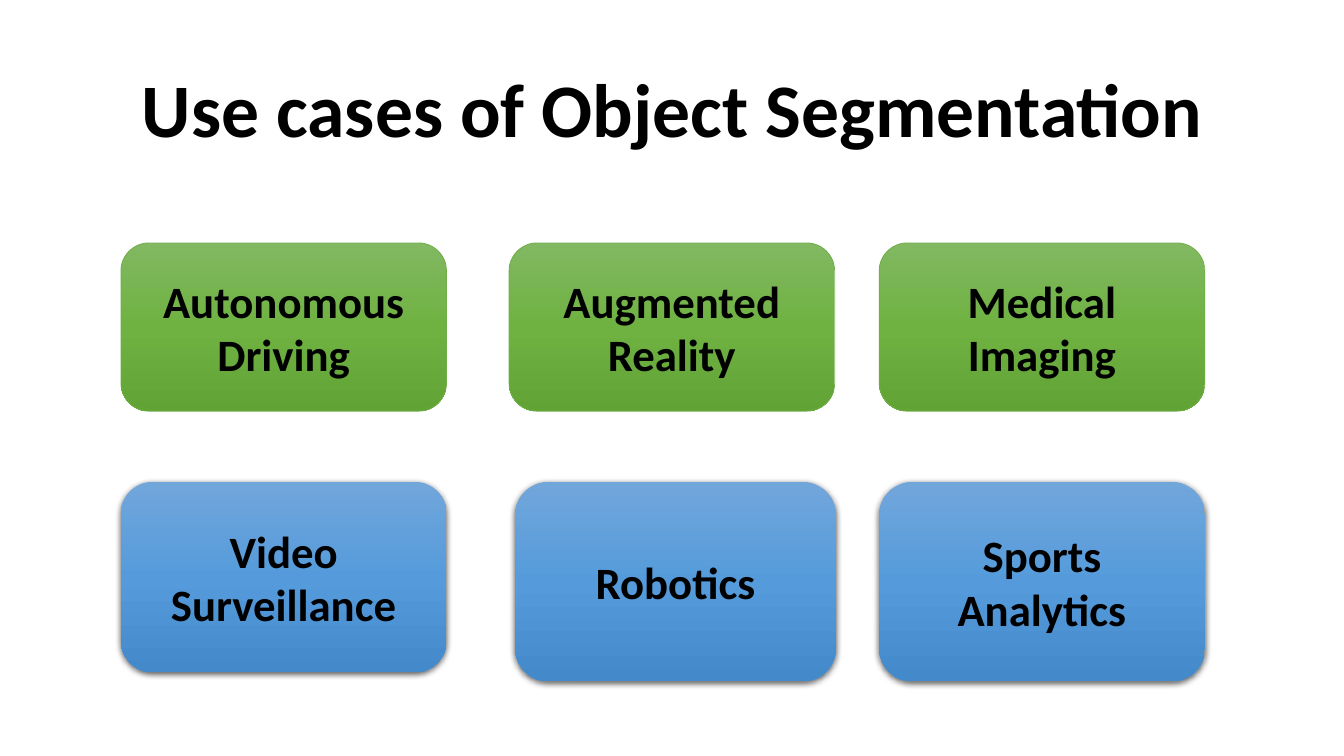
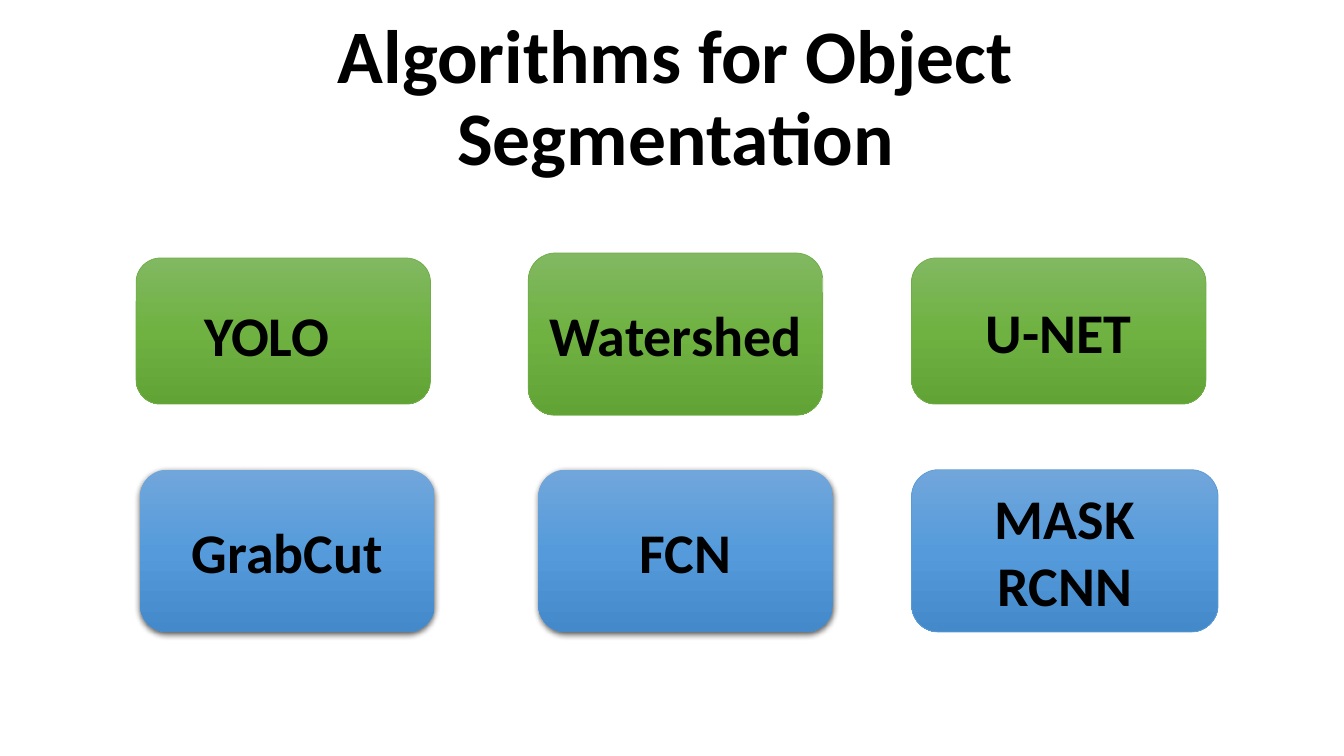
from copy import deepcopy

from lxml import etree
from pptx import Presentation
from pptx import util as u
from pptx.dml.color import RGBColor
from pptx.enum import shapes, text
from pptx.oxml import ns

WIDTH, HEIGHT = u.Inches(13.33), u.Inches(7.5)
FONT = "Calibri"
BLACK = RGBColor(0x00, 0x00, 0x00)
GREEN_LINE = RGBColor(0x70, 0xAD, 0x47)
BLUE_LINE = RGBColor(0x5B, 0x9B, 0xD5)
GREENS = (RGBColor(0x81, 0xB8, 0x61), RGBColor(0x6F, 0xB2, 0x42), RGBColor(0x62, 0xA3, 0x36))
BLUES = (RGBColor(0x71, 0xA6, 0xDB), RGBColor(0x55, 0x9B, 0xDB), RGBColor(0x44, 0x8A, 0xCA))


def share(left, top, width, height):
    return [int(size * part / 100) for size, part in
            zip((WIDTH, HEIGHT, WIDTH, HEIGHT), (left, top, width, height))]


def write(tf, label, size, anchor=text.MSO_ANCHOR.MIDDLE, spacing=None):
    tf.word_wrap = True
    tf.vertical_anchor = anchor
    p = tf.paragraphs[0]
    p.alignment = text.PP_ALIGN.CENTER
    if spacing:
        p.line_spacing = spacing
    r = p.add_run()
    r.text = label
    r.font.name, r.font.size, r.font.bold = FONT, u.Pt(size), True
    r.font.color.rgb = BLACK


def add_gradient(sp, colours):
    sp.fill.gradient()
    sp.fill.gradient_angle = 270
    first = sp.fill.gradient_stops[0]._gs
    first.addnext(deepcopy(first))
    for i, (stop, colour) in enumerate(zip(sp.fill.gradient_stops, colours)):
        stop.position = i / 2
        stop.color.rgb = colour


def add_shadow(sp):
    effects = sp._element.spPr.find(ns.qn("a:effectLst"))
    shadow = etree.SubElement(effects, ns.qn("a:outerShdw"), blurRad=str(u.Pt(4.5)),
                              dist=str(u.Pt(1.5)), dir="5400000", algn="ctr", rotWithShape="0")
    colour = etree.SubElement(shadow, ns.qn("a:srgbClr"), val=str(BLACK))
    etree.SubElement(colour, ns.qn("a:alpha"), val="63000")


def add_card(s, label, left, top, width, height, size, colours, line=None):
    sp = s.shapes.add_shape(shapes.MSO_SHAPE.ROUNDED_RECTANGLE, *share(left, top, width, height))
    add_gradient(sp, colours)
    sp.shadow.inherit = False
    if line:
        sp.line.color.rgb, sp.line.width = line, u.Pt(0.5)
    else:
        sp.line.fill.background()
        add_shadow(sp)
    if label:
        write(sp.text_frame, label, size)


def add_row(s, cards, **common):
    for label, left, changes in cards:
        add_card(s, label, left, **{**common, **changes})


def add_label(s, label, box, size):
    sp = s.shapes.add_textbox(*share(*box))
    write(sp.text_frame, label, size, anchor=text.MSO_ANCHOR.TOP)
    sp.text_frame.auto_size = text.MSO_AUTO_SIZE.SHAPE_TO_FIT_TEXT


def add_slide(prs, title, box):
    s = prs.slides.add_slide(prs.slide_layouts[5])
    sp = s.shapes.title
    sp.left, sp.top, sp.width, sp.height = share(*box)
    write(sp.text_frame, title, 54, spacing=0.9)
    sp.text_frame.auto_size = text.MSO_AUTO_SIZE.NONE
    return s


def use_cases(prs):
    s = add_slide(prs, "Use cases of Object Segmentation", (6.9, 5.33, 86.27, 19.33))
    add_row(s, [("Autonomous Driving", 9, {}),
                ("Augmented Reality", 37.88, {}),
                ("Medical Imaging", 65.42, {})],
            top=32.13, width=24.23, height=22.27, size=32, colours=GREENS, line=GREEN_LINE)
    add_row(s, [("Video Surveillance", 9, {"height": 25.2}),
                ("Robotics", 38.33, {"width": 23.86}),
                ("Sports Analytics", 65.42, {})],
            top=63.73, width=24.23, height=26.4, size=32, colours=BLUES)


def algorithms(prs):
    s = add_slide(prs, "Algorithms for Object Segmentation", (9, 1.2, 82.52, 24.13))
    add_row(s, [("", 10.13, {}),
                ("Watershed", 39.31, {"top": 33.47, "height": 21.47}),
                ("U-NET", 67.82, {})],
            top=34.13, width=21.91, height=19.33, size=40, colours=GREENS, line=GREEN_LINE)
    add_row(s, [("GrabCut", 10.43, {}),
                ("FCN", 40.06, {}),
                ("MASK RCNN", 67.82, {"width": 22.81, "line": BLUE_LINE})],
            top=62.13, width=21.91, height=21.47, size=40, colours=BLUES)
    add_label(s, "YOLO", (12.38, 39.07, 14.93, 10.27), 40)


def main():
    prs = Presentation()
    prs.slide_width, prs.slide_height = WIDTH, HEIGHT
    use_cases(prs)
    algorithms(prs)
    prs.save("out.pptx")


if __name__ == "__main__":
    main()
